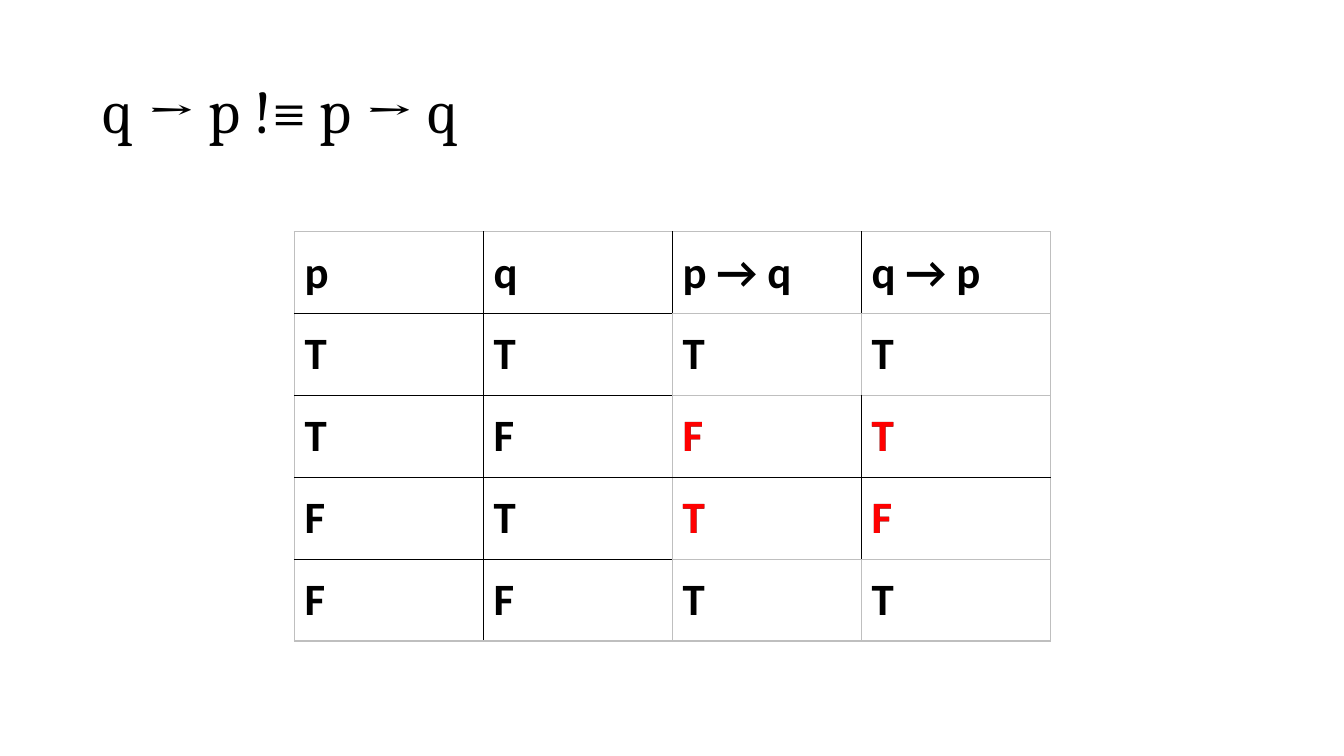
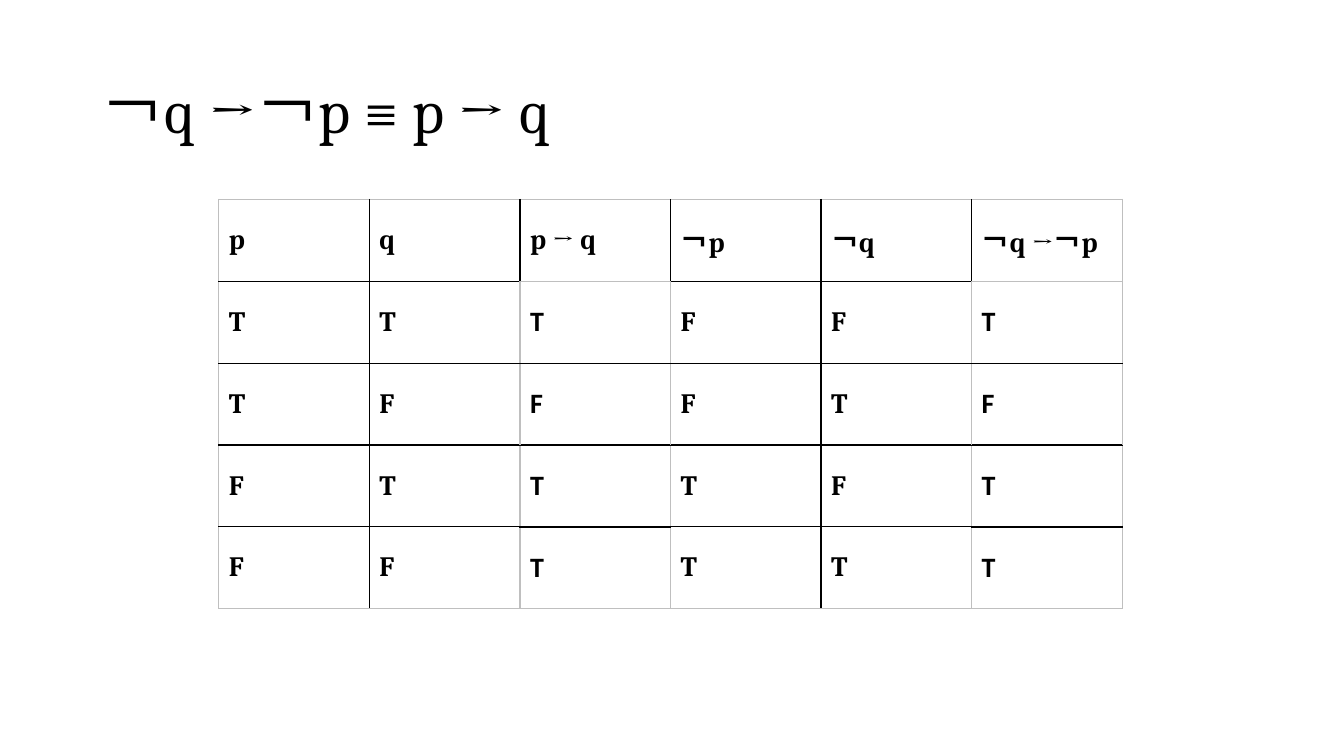
"""Build two slides that compare implications by truth table."""
import lxml.etree
import pptx
import pptx.dml.color
import pptx.enum.text
import pptx.oxml.ns
import pptx.util

BLACK = pptx.dml.color.RGBColor(0x00, 0x00, 0x00)
RED = pptx.dml.color.RGBColor(0xFF, 0x00, 0x00)
GREY = pptx.dml.color.RGBColor(0xBF, 0xBF, 0xBF)
SERIF, SANS = "Cambria", "Calibri"
MIDDLE = pptx.enum.text.MSO_ANCHOR.MIDDLE
TITLE_PLACE = [pptx.util.Inches(length) for length in (0.92, 0.4, 11.5, 1.45)]
ROW_HEIGHT = 4.06 / 5
TRUTH_VALUES = [["T", "T"], ["T", "F"], ["F", "T"], ["F", "F"]]
IMPLICATION = ["T", "F", "T", "T"]
CONVERSE = ["T", "T", "F", "T"]


def write(para, font, size, colour, bold):
    for span in para.runs:
        span.font.name = font
        span.font.size = pptx.util.Pt(size)
        span.font.color.rgb = colour
        span.font.bold = bold


def add_grid(page, left, top, column_width, rows, font, size, colour):
    row_count, column_count = len(rows), len(rows[0])
    frame = page.shapes.add_table(
        row_count, column_count, pptx.util.Inches(left), pptx.util.Inches(top),
        pptx.util.Inches(column_width * column_count),
        pptx.util.Inches(ROW_HEIGHT * row_count))
    table = frame.table
    table.first_row = table.horz_banding = False
    for r, values in enumerate(rows):
        for c, value in enumerate(values):
            cell = table.cell(r, c)
            cell.text = value
            cell.vertical_anchor = MIDDLE
            write(cell.text_frame.paragraphs[0], font, size, colour, True)
            outer_edges = {"lnL": c == 0, "lnR": c == column_count - 1,
                           "lnT": r == 0, "lnB": r == row_count - 1}
            properties = cell._tc.get_or_add_tcPr()
            for edge, is_outer in outer_edges.items():
                line = lxml.etree.SubElement(
                    properties, pptx.oxml.ns.qn("a:" + edge), w=str(pptx.util.Pt(1)))
                fill = lxml.etree.SubElement(line, pptx.oxml.ns.qn("a:solidFill"))
                lxml.etree.SubElement(fill, pptx.oxml.ns.qn("a:srgbClr"),
                                      val=str(GREY if is_outer else BLACK))
            cell.fill.background()


deck = pptx.Presentation()
deck.slide_width = pptx.util.Inches(13.33)
deck.slide_height = pptx.util.Inches(7.5)

pages = []
for title in ("q → p !≡ p → q", "￢q →￢p ≡ p → q"):
    page = deck.slides.add_slide(deck.slide_layouts[6])
    box = page.shapes.add_textbox(*TITLE_PLACE)
    box.text_frame.word_wrap = True
    box.text_frame.vertical_anchor = MIDDLE
    box.text_frame.text = title
    para = box.text_frame.paragraphs[0]
    para.line_spacing = 0.9
    write(para, SERIF, 44, BLACK, False)
    pages.append(page)
converse_page, contrapositive_page = pages

left, top, width = 2.92, 2.3, 7.5 / 4
rows = [["p", "q", "p → q", "q → p"]] + [pair + ["", ""] for pair in TRUTH_VALUES]
add_grid(converse_page, left, top, width, rows, SANS, 32, BLACK)
for column, answers in ((3, CONVERSE), (2, IMPLICATION)):
    add_grid(converse_page, left + column * width, top + ROW_HEIGHT, width,
             [[answer] for answer in answers], SANS, 32, BLACK)
differences = list(zip(IMPLICATION, CONVERSE))[1:3]
add_grid(converse_page, left + 2 * width, top + 2 * ROW_HEIGHT, width,
         differences, SANS, 32, RED)

left, top, width = 2.17, 1.98, 8.96 / 6
opposite = {"T": "F", "F": "T"}
rows = [["p", "q", "p → q", "￢p", "￢q", "￢q →￢p"]]
for p, q in TRUTH_VALUES:
    rows.append([p, q, "", opposite[p], opposite[q], ""])
add_grid(contrapositive_page, left, top, width, rows, SERIF, 20, BLACK)
for column in (2, 5):
    add_grid(contrapositive_page, left + column * width, top + ROW_HEIGHT, width,
             [[answer] for answer in IMPLICATION], SANS, 20, BLACK)

deck.save("out.pptx")
